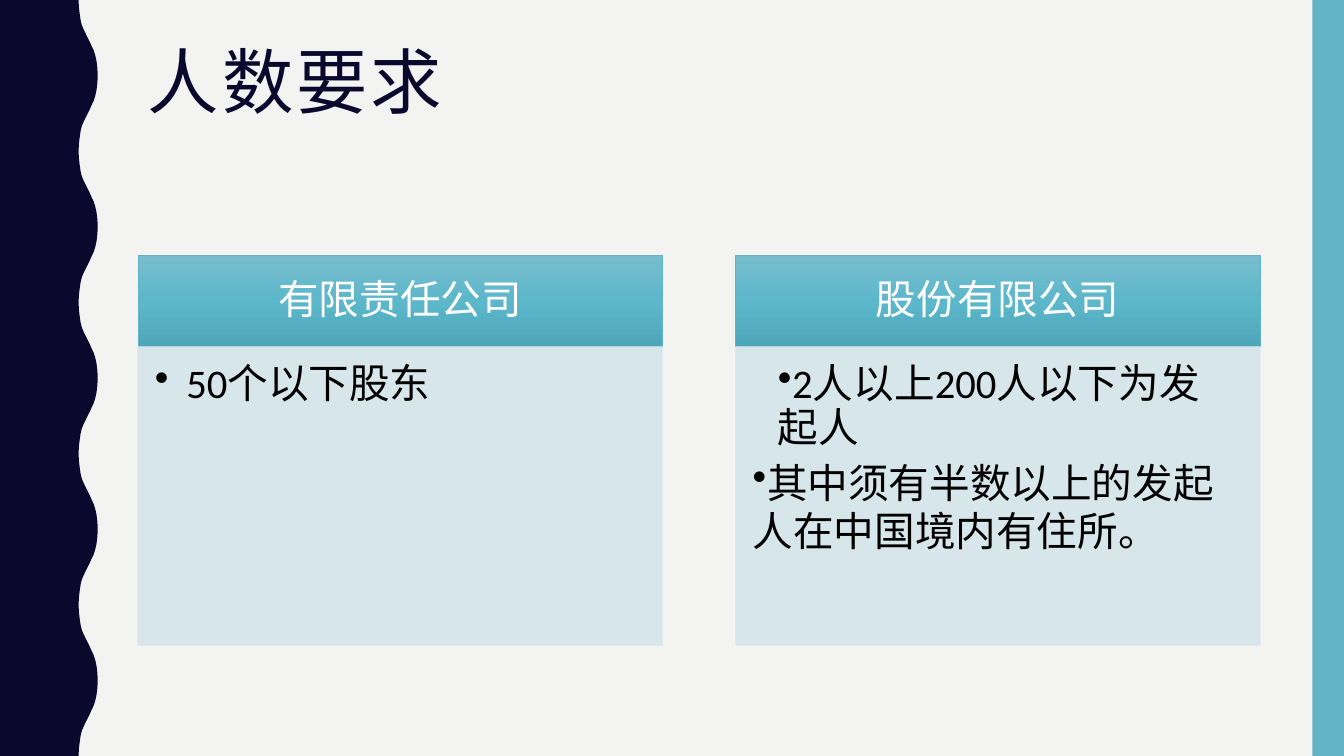
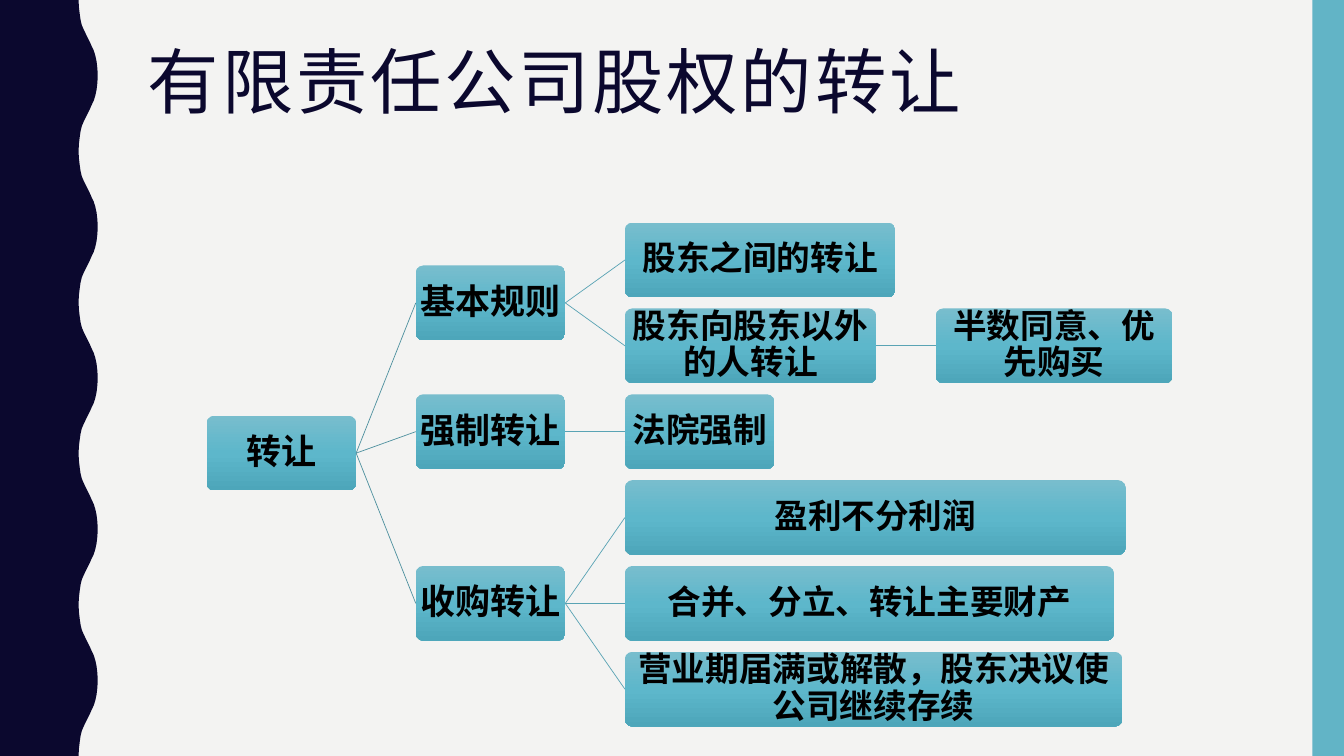
from dataclasses import dataclass

from pptx import Presentation
from pptx.dml.color import RGBColor
from pptx.enum.lang import MSO_LANGUAGE_ID as LANG
from pptx.enum.shapes import MSO_CONNECTOR as CONN, MSO_SHAPE as SHAPE
from pptx.enum.text import MSO_ANCHOR as ANCHOR, PP_ALIGN as ALIGN
from pptx.oxml.ns import qn
from pptx.oxml.xmlchemy import OxmlElement
from pptx.util import Emu, Inches, Pt

COLS, ROWS = 160, 90
CELL = Inches(1 / 12)


@dataclass(frozen=True)
class Theme:
    paper: str = "F3F3F2"
    navy: str = "0B082E"
    teal: str = "62B4C6"
    pale: str = "D3E5EA"
    white: str = "FFFFFF"
    black: str = "000000"
    root_line: str = "4E909F"
    branch_line: str = "59A3B4"
    gradient: tuple = ((0, "78BDCD"), (50, "5DB7CB"), (100, "4DA6BA"))
    title_font: str = "Roboto Condensed"
    body_font: str = "Calibri"
    title_size: int = 51
    body_size: int = 29
    branch_size: int = 25
    leaf_size: int = 24
    hairline: float = 0.5


# One quarter turn of the wavy edge as (column, row); a full wave is 18 rows.
WAVE_ROWS = 18
WAVE = [(9.36, 0), (9.4, 0.84), (9.5, 1.68), (9.6, 2.4), (9.75, 3), (9.96, 3.5),
        (10.2, 4), (10.7, 5), (10.92, 5.5), (11.16, 6), (11.35, 6.6),
        (11.5, 7.3), (11.6, 8.15), (11.64, 9)]

LEFT, CONTENT_W = 16.44, 133.56
PANEL_W, PANEL_TOP, HEAD_H, BODY_H = 62.4, 30.36, 10.92, 35.52
NODE_W, NODE_H, NODE_GAP = 17.8, 8.9, 7.1
TREE_LEFT, TREE_TOP, LEAF_STEP = 24.6, 26.5, 10.22

# A node is (text, width, children).
TRANSFER_TREE = ("转让", NODE_W, [
    ("基本规则", NODE_W, [
        ("股东之间的转让", 32.2, []),
        ("股东向股东以外的人转让", 29.9, [("半数同意、优先购买", 28.2, [])])]),
    ("强制转让", NODE_W, [("法院强制", NODE_W, [])]),
    ("收购转让", NODE_W, [
        ("盈利不分利润", 59.6, []),
        ("合并、分立、转让主要财产", 58.2, []),
        ("营业期届满或解散，股东决议使公司继续存续", 59.2, [])]),
])


def cells(n):
    return Emu(round(n * CELL))


def box(*lengths):
    return [cells(n) for n in lengths]


def rgb(color):
    return RGBColor.from_string(color)


def element(tag, **attrs):
    el = OxmlElement(tag)
    for name, value in attrs.items():
        el.set(name, str(value))
    return el


def add_text(p, text, *, font, size, color, bold=False, align=ALIGN.LEFT,
             leading=0.9, after=0, tracking=0, bullet=None):
    """Fill a paragraph; bullet is (left margin, first-line indent) in cells."""
    if bullet:
        pPr = p._p.get_or_add_pPr()
        pPr.set("marL", str(cells(bullet[0])))
        pPr.set("indent", str(cells(bullet[1])))
        pPr.append(element("a:buChar", char="•"))
    p.alignment, p.line_spacing, p.space_after = align, leading, Pt(after)
    r = p.add_run()
    r.text = text
    r.font.name, r.font.size, r.font.bold = font, Pt(size), bold
    r.font.color.rgb = rgb(color)
    r.font.language_id = LANG.SIMPLIFIED_CHINESE
    if tracking:
        r._r.get_or_add_rPr().set("spc", str(tracking * 100))


class Deck:
    def __init__(self, theme):
        self.theme = theme
        self.prs = Presentation()
        self.prs.slide_width, self.prs.slide_height = box(COLS, ROWS)
        fill = self.prs.slide_master.background.fill
        fill.solid()
        fill.fore_color.rgb = rgb(theme.paper)
        self.s = None
        self.next_row = 0

    def slide(self, title):
        t = self.theme
        self.s = self.prs.slides.add_slide(self.prs.slide_layouts[6])
        self.wave()
        self.shape(SHAPE.RECTANGLE, 156.24, 0, COLS - 156.24, ROWS, t.teal)
        tf = self.s.shapes.add_textbox(*box(LEFT, 5, CONTENT_W, 19.56)).text_frame
        tf.word_wrap = True
        add_text(tf.paragraphs[0], title, font=t.title_font, size=t.title_size,
                 color=t.navy, tracking=2)

    def wave(self):
        points = []
        for top in range(0, ROWS, WAVE_ROWS):
            points += [(x, top + y) for x, y in WAVE]
            points += [(x, top + WAVE_ROWS - y) for x, y in WAVE[-2::-1]]
        builder = self.s.shapes.build_freeform(0, 0)
        builder.add_line_segments([box(*pt) for pt in points + [(0, ROWS)]])
        self.paint(builder.convert_to_shape(), self.theme.navy)

    def paint(self, sp, color=None, line=None, opacity=None):
        """Fill with a colour, or with the theme gradient when none is given."""
        sp.shadow.inherit = False
        if color:
            sp.fill.solid()
            sp.fill.fore_color.rgb = rgb(color)
        else:
            sp.fill.gradient()
            sp.fill.gradient_angle = 270
            stops = next(sp._element.spPr.iter(qn("a:gsLst")))
            stops.clear()
            for share, stop_color in self.theme.gradient:
                gs = element("a:gs", pos=share * 1000)
                gs.append(element("a:srgbClr", val=stop_color))
                stops.append(gs)
        if line:
            sp.line.color.rgb = rgb(line)
            sp.line.width = Pt(self.theme.hairline)
        else:
            sp.line.fill.background()
        if opacity:
            for clr in sp._element.spPr.iter(qn("a:srgbClr")):
                clr.append(element("a:alpha", val=opacity * 1000))

    def shape(self, kind, x, y, w, h, color=None, **style):
        sp = self.s.shapes.add_shape(kind, *box(x, y, w, h))
        self.paint(sp, color, **style)
        return sp

    def frame(self, sp, insets, anchor=ANCHOR.MIDDLE):
        tf = sp.text_frame
        tf.word_wrap, tf.vertical_anchor = True, anchor
        (tf.margin_left, tf.margin_top,
         tf.margin_right, tf.margin_bottom) = box(*insets)
        return tf

    def panel(self, x, heading, items):
        """Draw a heading over a body; an item is (text, paragraph format)."""
        t = self.theme
        head = self.shape(SHAPE.RECTANGLE, x, PANEL_TOP, PANEL_W, HEAD_H, line=t.teal)
        tf = self.frame(head, (2.7, 1.54, 2.7, 1.54))
        add_text(tf.paragraphs[0], heading, font=t.body_font, size=t.body_size,
                 color=t.white, align=ALIGN.CENTER)
        body = self.shape(SHAPE.RECTANGLE, x, PANEL_TOP + HEAD_H, PANEL_W, BODY_H,
                          t.pale, line=t.pale, opacity=90)
        tf = self.frame(body, (2, 2, 2.7, 3), ANCHOR.TOP)
        for i, (text, style) in enumerate(items):
            p = tf.add_paragraph() if i else tf.paragraphs[0]
            add_text(p, text, font=t.body_font, size=t.body_size, color=t.black,
                     after=4.5, **style)

    def connect(self, start, end, color):
        c = self.s.shapes.add_connector(CONN.STRAIGHT, 0, 0, 0, 0)
        c.begin_connect(start, 3)
        c.end_connect(end, 1)
        c.line.color.rgb = rgb(color)
        c.line.width = Pt(self.theme.hairline)
        c._element.spPr.append(element("a:effectLst"))

    def tree(self, root):
        self.next_row = TREE_TOP
        self.node(root, TREE_LEFT, 0)

    def node(self, node, x, depth):
        """Place children first, then centre the node on them; return (shape, row)."""
        t = self.theme
        text, w, children = node
        placed = [self.node(c, x + w + NODE_GAP, depth + 1) for c in children]
        if placed:
            y = (placed[0][1] + placed[-1][1]) / 2
        else:
            y = self.next_row
            self.next_row += LEAF_STEP
        sp = self.shape(SHAPE.ROUNDED_RECTANGLE, x, y, w, NODE_H)
        sp.adjustments[0] = 0.1
        tf = self.frame(sp, (0.2, 0.2, 0.2, 0.2))
        add_text(tf.paragraphs[0], text, font=t.body_font, bold=True,
                 size=t.branch_size if depth < 2 else t.leaf_size,
                 color=t.black, align=ALIGN.CENTER)
        for child, _ in placed:
            self.connect(sp, child, t.branch_line if depth else t.root_line)
        return sp, y


def main():
    deck = Deck(Theme())
    deck.slide("人数要求")
    deck.panel(LEFT, "有限责任公司", [("50个以下股东", {"bullet": (3.75, -3.75)})])
    deck.panel(LEFT + CONTENT_W - PANEL_W, "股份有限公司", [
        ("2人以上200人以下为发起人", {"bullet": (3, 0)}),
        ("其中须有半数以上的发起人在中国境内有住所。", {"bullet": (0, 0), "leading": 1.0}),
    ])
    deck.slide("有限责任公司股权的转让")
    deck.tree(TRANSFER_TREE)
    deck.prs.save("out.pptx")


if __name__ == "__main__":
    main()
